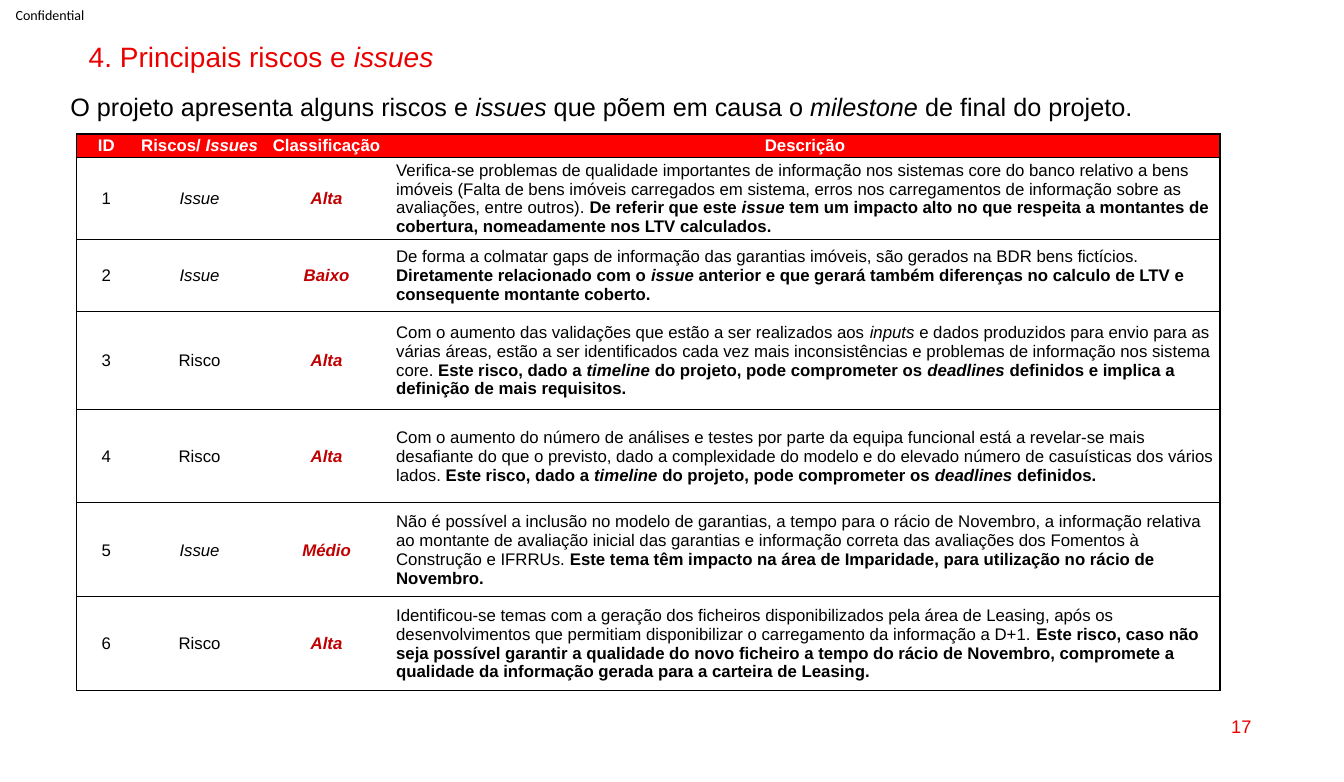
import dataclasses

import pptx
import pptx.dml.color
import pptx.enum.text
import pptx.oxml
import pptx.oxml.ns
import pptx.util

Inches = pptx.util.Inches
Pt = pptx.util.Pt
Align = pptx.enum.text.PP_ALIGN
Anchor = pptx.enum.text.MSO_ANCHOR


@dataclasses.dataclass(frozen=True)
class Theme:
    font: str = "Arial"
    mark_font: str = "Calibri"
    ink: str = "000000"
    white: str = "FFFFFF"
    red: str = "EB0000"
    head: str = "FF0000"
    level: str = "C00000"
    title: int = 20
    lead: int = 18
    number: int = 13
    cell: int = 12
    mark: int = 10
    thin: float = 0.5
    thick: float = 1


# In all texts "_" switches italic and "|" switches bold.
COLS = [0.59, 1.26, 1.26, 8.23]
HEIGHTS = [0.23, 0.78, 0.72, 0.97, 0.93, 0.93, 0.93]
HEADS = ["ID", "Riscos/ _Issues", "Classificação", "Descrição"]
RISKS = [
    ("_Issue", "Alta",
     "Verifica-se problemas de qualidade importantes de informação nos sistemas core do banco "
     "relativo a bens imóveis (Falta de bens imóveis carregados em sistema, erros nos "
     "carregamentos de informação sobre as avaliações, entre outros). |De referir que este "
     "_issue_ tem um impacto alto no que respeita a montantes de cobertura, nomeadamente nos "
     "LTV calculados."),
    ("_Issue", "Baixo",
     "De forma a colmatar gaps de informação das garantias imóveis, são gerados na BDR bens "
     "fictícios. |Diretamente relacionado com o _issue_ anterior e que gerará também diferenças "
     "no calculo de LTV e consequente montante coberto."),
    ("Risco", "Alta",
     "Com o aumento das validações que estão a ser realizados aos _inputs _e dados produzidos "
     "para envio para as várias áreas, estão a ser identificados cada vez mais inconsistências "
     "e problemas de informação nos sistema core.| Este risco, dado a _timeline_ do projeto, "
     "pode comprometer os _deadlines_ definidos e implica a definição de mais requisitos."),
    ("Risco", "Alta",
     "Com o aumento do número de análises e testes por parte da equipa funcional está a "
     "revelar-se mais desafiante do que o previsto, dado a complexidade do modelo e do elevado "
     "número de casuísticas dos vários lados. |Este risco, dado a _timeline_ do projeto, pode "
     "comprometer os _deadlines_ definidos."),
    ("_Issue", "Médio",
     "Não é possível a inclusão no modelo de garantias, a tempo para o rácio de Novembro, a "
     "informação relativa ao montante de avaliação inicial das garantias e informação correta "
     "das avaliações dos Fomentos à Construção e IFRRUs. |Este tema têm impacto na área de "
     "Imparidade, para utilização no rácio de Novembro."),
    ("Risco", "Alta",
     "Identificou-se temas com a geração dos ficheiros disponibilizados pela área de Leasing, "
     "após os desenvolvimentos que permitiam disponibilizar o carregamento da informação a D+1. "
     "|Este risco, caso não seja possível garantir a qualidade do novo ficheiro a tempo do "
     "rácio de Novembro, compromete a qualidade da informação gerada para a carteira de "
     "Leasing."),
]


def split(text):
    """Yield (text, bold, italic) for each run of marked text."""
    for i, part in enumerate(text.split("|")):
        for j, bit in enumerate(part.split("_")):
            if bit:
                yield bit, i % 2 == 1, j % 2 == 1


def rule(cell, side, width):
    """Draw one cell edge; a width of 0 clears it."""
    props = cell._tc.get_or_add_tcPr()
    edge = pptx.oxml.parse_xml(
        f'<a:ln{side} {pptx.oxml.ns.nsdecls("a")} w="{Pt(width)}">'
        + (f'<a:solidFill><a:srgbClr val="{Theme.ink}"/></a:solidFill>' if width
           else "<a:noFill/>")
        + f"</a:ln{side}>")
    props.append(edge)


class Deck:
    def __init__(self, theme):
        self.theme = theme
        self.prs = pptx.Presentation()
        self.prs.slide_width = Inches(13.33)
        self.prs.slide_height = Inches(7.76)
        self.slide = self.prs.slides.add_slide(self.prs.slide_layouts[5])

    def runs(self, para, text, size, color, align=Align.LEFT, font=None):
        para.alignment = align
        for bit, bold, italic in split(text):
            run = para.add_run()
            run.text = bit
            run.font.name = font or self.theme.font
            run.font.size = Pt(size)
            run.font.bold = bold
            run.font.italic = italic
            run.font.color.rgb = pptx.dml.color.RGBColor.from_string(color)

    def title(self, box, text):
        shape = self.slide.shapes.title
        shape.left, shape.top, shape.width, shape.height = map(Inches, box)
        frame = shape.text_frame
        frame.auto_size = pptx.enum.text.MSO_AUTO_SIZE.NONE
        frame.vertical_anchor = Anchor.TOP
        para = frame.paragraphs[0]
        para.line_spacing = 0.9
        self.runs(para, text, self.theme.title, self.theme.red)

    def text(self, box, text, size, color, align=Align.LEFT, font=None,
             anchor=Anchor.MIDDLE, inset=(0.1, 0.05)):
        frame = self.slide.shapes.add_textbox(*map(Inches, box)).text_frame
        frame.word_wrap = True
        frame.vertical_anchor = anchor
        frame.margin_left = frame.margin_right = Inches(inset[0])
        frame.margin_top = frame.margin_bottom = Inches(inset[1])
        self.runs(frame.paragraphs[0], text, size, color, align, font)

    def cell(self, table, row, col, text):
        theme = self.theme
        cell = table.cell(row, col)
        last = len(COLS) - 1
        wide = col == last and row > 0
        cell.vertical_anchor = Anchor.MIDDLE
        cell.margin_left = Inches(0.06 if wide else 0.01)
        cell.margin_right = cell.margin_top = Inches(0.01)
        cell.margin_bottom = 0
        rule(cell, "L", theme.thick if col == 0 else 0)
        rule(cell, "R", theme.thick if col == last else 0)
        rule(cell, "T", theme.thin if row else theme.thick)
        rule(cell, "B", theme.thin)
        color = theme.ink
        if row == 0:
            cell.fill.solid()
            cell.fill.fore_color.rgb = pptx.dml.color.RGBColor.from_string(theme.head)
            color, text = theme.white, "|" + text
        else:
            cell.fill.background()
            if col == 2:
                color, text = theme.level, "|_" + text
        self.runs(cell.text_frame.paragraphs[0], text, theme.cell, color,
                  Align.LEFT if wide else Align.CENTER)

    def table(self, left, top, rows):
        table = self.slide.shapes.add_table(
            len(rows), len(COLS), Inches(left), Inches(top),
            Inches(sum(COLS)), Inches(sum(HEIGHTS))).table
        table.first_row = table.horz_banding = False
        for col, width in zip(table.columns, COLS):
            col.width = Inches(width)
        for line, height in zip(table.rows, HEIGHTS):
            line.height = Inches(height)
        for r, row in enumerate(rows):
            for c, text in enumerate(row):
                self.cell(table, r, c, text)


def main():
    theme = Theme()
    deck = Deck(theme)
    deck.text((0, 0, 0.99, 0.29), "Confidential", theme.mark, theme.ink,
              Align.CENTER, theme.mark_font, inset=(0, 0))
    deck.title((0.78, 0.38, 11.77, 0.34), "4. Principais riscos e _issues")
    deck.text((0.6, 0.86, 11.77, 0.4),
              "O projeto apresenta alguns riscos e _issues_ que põem em causa o "
              "_milestone_ de final do projeto.",
              theme.lead, theme.ink, anchor=Anchor.TOP)
    deck.table(0.76, 1.33,
               [HEADS] + [(str(n), *risk) for n, risk in enumerate(RISKS, 1)])
    deck.text((9.51, 7, 3, 0.41), "17", theme.number, theme.red, Align.RIGHT)
    deck.prs.save("out.pptx")


if __name__ == "__main__":
    main()
